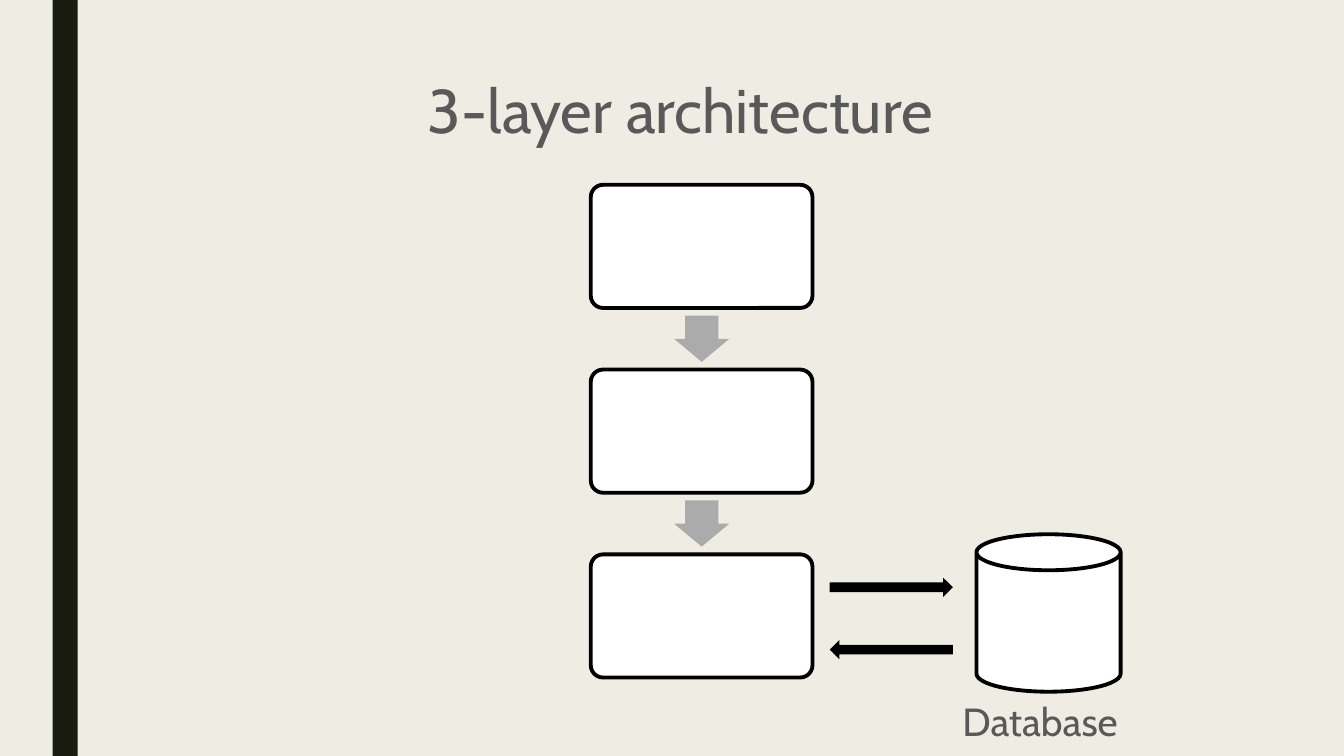
from pptx import Presentation
from pptx.dml.color import RGBColor
from pptx.enum.shapes import MSO_SHAPE
from pptx.enum.text import MSO_ANCHOR, PP_ALIGN
from pptx.util import Pt

RECTANGLE = MSO_SHAPE.RECTANGLE
ROUNDED = MSO_SHAPE.ROUNDED_RECTANGLE
ARROW = MSO_SHAPE.RIGHT_ARROW
CAN = MSO_SHAPE.CAN
TOP = MSO_ANCHOR.TOP
LEFT = PP_ALIGN.LEFT
CENTER = PP_ALIGN.CENTER

CREAM = RGBColor(0xEF, 0xED, 0xE3)
OLIVE = RGBColor(0x19, 0x1B, 0x0E)
GRAY = RGBColor(0x59, 0x59, 0x59)
SILVER = RGBColor(0xAB, 0xAB, 0xAB)
BLACK = RGBColor(0, 0, 0)
WHITE = RGBColor(0xFF, 0xFF, 0xFF)


class SlideBuilder:
    """Draw styled elements on one page, with lengths in points."""

    font = "Cabin"
    outline_width = 2.75

    def __init__(self, page):
        self.page = page
        background = page.background.fill
        background.solid()
        background.fore_color.rgb = CREAM

    def shape(self, kind, left, top, width, height, color, outline=None):
        shape = self.page.shapes.add_shape(
            kind, Pt(left), Pt(top), Pt(width), Pt(height))
        shape.shadow.inherit = False
        shape.fill.solid()
        shape.fill.fore_color.rgb = color
        if outline is None:
            shape.line.fill.background()
        else:
            shape.line.color.rgb = outline
            shape.line.width = Pt(self.outline_width)
        return shape

    def layer(self, left, top, width, height):
        box = self.shape(ROUNDED, left, top, width, height, WHITE, BLACK)
        box.adjustments[0] = 0.1

    def arrow(self, center_x, center_y, length, thickness, color, rotation=0, shaft=0.5):
        arrow = self.shape(ARROW, center_x - length / 2, center_y - thickness / 2,
                           length, thickness, color)
        arrow.rotation = rotation
        arrow.adjustments[0] = shaft

    def text(self, words, left, top, width, height, size, align=LEFT, spacing=1.0):
        box = self.page.shapes.add_textbox(Pt(left), Pt(top), Pt(width), Pt(height))
        frame = box.text_frame
        frame.word_wrap = True
        frame.vertical_anchor = TOP
        frame.text = words
        para = frame.paragraphs[0]
        para.alignment = align
        para.line_spacing = spacing
        span = para.runs[0]
        span.font.name = self.font
        span.font.size = Pt(size)
        span.font.color.rgb = GRAY


def main():
    deck = Presentation()
    deck.slide_width, deck.slide_height = Pt(960), Pt(540)
    builder = SlideBuilder(deck.slides.add_slide(deck.slide_layouts[6]))

    builder.shape(RECTANGLE, 37.5, 0, 18, 540, OLIVE)
    builder.text("3-layer architecture", 108, 54, 756, 116.6, 44, CENTER, 0.89)

    layer_left, layer_top, layer_width, layer_height = 422, 132, 158.4, 88
    layer_count, layer_step = 3, 132
    gap = layer_step - layer_height
    for index in range(layer_count):
        top = layer_top + index * layer_step
        builder.layer(layer_left, top, layer_width, layer_height)
        if index < layer_count - 1:
            builder.arrow(layer_left + layer_width / 2, top + layer_height + gap / 2,
                          33, 39.6, SILVER, 90, 0.6)

    for center_y, rotation in ((419.5, 0), (464, 180)):
        builder.arrow(636.6, center_y, 88, 13.7, BLACK, rotation)
    builder.shape(CAN, 697.5, 381.6, 103, 112.5, WHITE, BLACK)
    builder.text("Database", 680.4, 494.6, 129.6, 41, 28)

    deck.save("out.pptx")


if __name__ == "__main__":
    main()
